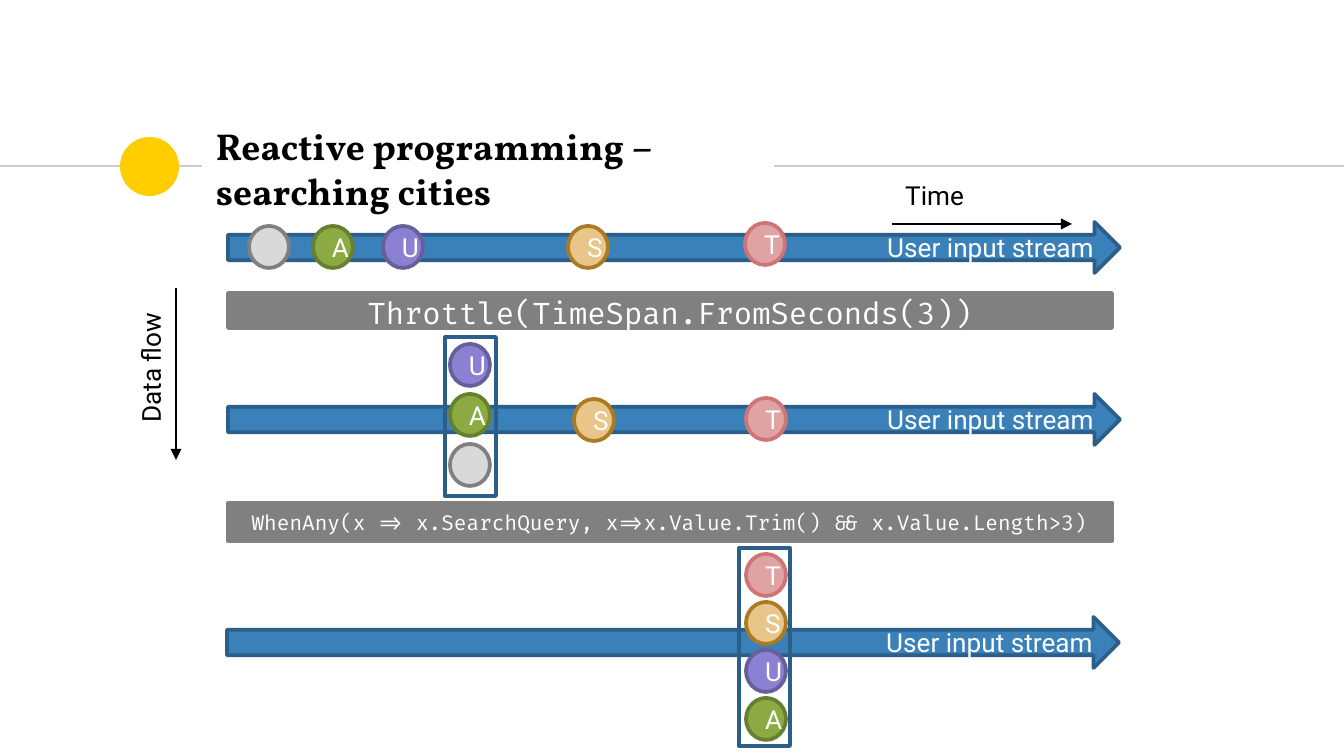
from lxml import etree
from pptx import Presentation
from pptx.dml.color import RGBColor
from pptx.enum.shapes import MSO_CONNECTOR, MSO_SHAPE
from pptx.enum.text import MSO_ANCHOR, PP_ALIGN
from pptx.oxml.ns import qn
from pptx.util import Emu, Pt

PX = 914400 / 134.4
STRAIGHT = MSO_CONNECTOR.STRAIGHT
OVAL, RECTANGLE = MSO_SHAPE.OVAL, MSO_SHAPE.RECTANGLE
ARROW, BALL = MSO_SHAPE.RIGHT_ARROW, MSO_SHAPE.FLOWCHART_CONNECTOR
TOP, MIDDLE = MSO_ANCHOR.TOP, MSO_ANCHOR.MIDDLE
LEFT, CENTER, RIGHT = PP_ALIGN.LEFT, PP_ALIGN.CENTER, PP_ALIGN.RIGHT

BLACK, WHITE, GRAY = "000000", "FFFFFF", "808080"
BLUE, DARK_BLUE = "3A81BA", "2B5F8A"
LABEL = {"name": "Roboto", "size": Pt(14)}
TITLE = {"name": "Vollkorn", "size": Pt(20), "bold": True}

# Fill and line colour of each typed letter
BALL_COLORS = {
    "": ("D9D9D9", GRAY),
    "A": ("8BAB42", "677F31"),
    "U": ("8B81D2", "675F9B"),
    "S": ("E8C588", "AB7A22"),
    "T": ("E0A3A3", "D07576"),
}
# Letter, left, top: one row for each stream
BALLS = [
    ("", 249, 226), ("A", 313, 226), ("U", 383, 226), ("S", 568, 226), ("T", 745, 223),
    ("S", 574, 399), ("T", 746, 398),
]
# Letters from top to bottom, left, top, step, frame (left, top, width, height)
STACKS = [
    (["U", "A", ""], 450, 344, 50, (445, 337, 51, 159)),
    (["T", "S", "U", "A"], 746, 554, 48, (739, 548, 51, 198)),
]


def px(*lengths):
    return [Emu(round(length * PX)) for length in lengths]


def rgb(color):
    return RGBColor.from_string(color)


def write(shape, text, font, color, align=LEFT, anchor=MIDDLE):
    frame = shape.text_frame
    frame.word_wrap = True
    frame.vertical_anchor = anchor
    para = frame.paragraphs[0]
    para.alignment = align
    span = para.add_run()
    span.text = text
    for name, value in font.items():
        setattr(span.font, name, value)
    span.font.color.rgb = rgb(color)


def add_shape(page, kind, place, fill=None, line=None):
    shape = page.shapes.add_shape(kind, *px(*place))
    shape.shadow.inherit = False
    if fill:
        shape.fill.solid()
        shape.fill.fore_color.rgb = rgb(fill)
    else:
        shape.fill.background()
    if line:
        shape.line.color.rgb = rgb(line)
        shape.line.width = Pt(2)
    else:
        shape.line.fill.background()
    return shape


def add_text(page, place, text, font, anchor=TOP):
    box = page.shapes.add_textbox(*px(*place))
    write(box, text, font, BLACK, anchor=anchor)
    return box


def add_line(page, ends, color, arrow=False):
    line = page.shapes.add_connector(STRAIGHT, *px(*ends))
    line.line.color.rgb = rgb(color)
    line.line.width = Pt(0.75)
    if arrow:
        etree.SubElement(line.line._get_or_add_ln(), qn("a:tailEnd"), type="triangle")
    etree.SubElement(line._element.spPr, qn("a:effectLst"))


def add_stream(page, left, top):
    stream = add_shape(page, ARROW, (left, top, 892, 51), BLUE, DARK_BLUE)
    write(stream, "User input stream", LABEL, WHITE, RIGHT)


def add_ball(page, letter, left, top):
    ball = add_shape(page, BALL, (left, top, 40, 42), *BALL_COLORS[letter])
    if letter:
        write(ball, letter, LABEL, WHITE, CENTER)


def add_operator(page, top, height, code, size, inset):
    bar = add_shape(page, RECTANGLE, (228, top, 884, height), GRAY, GRAY)
    bar.text_frame.margin_top, bar.text_frame.margin_bottom = px(inset, 0)
    write(bar, code, {"name": "Fira Code", "size": Pt(size)}, WHITE, CENTER)


def main():
    deck = Presentation()
    deck.slide_width, deck.slide_height = px(1344, 756)
    page = deck.slides.add_slide(deck.slide_layouts[6])

    # Title with its rule and dot
    add_line(page, (0, 166, 202, 166), "CCCCCC")
    add_shape(page, OVAL, (120, 137, 59, 59), "FFCD00")
    add_line(page, (774, 166, 1344, 166), "CCCCCC")
    title = add_text(page, (203, 136, 581, 65),
                     "Reactive programming – searching cities", TITLE, MIDDLE)
    for side in ("left", "top", "right", "bottom"):
        setattr(title.text_frame, f"margin_{side}", px(13)[0])

    # Streams and the operators between them
    for left, top in ((228, 222), (228, 394), (227, 617)):
        add_stream(page, left, top)
    add_operator(page, 293, 35, "Throttle(TimeSpan.FromSeconds(3))", 16, 4)
    add_operator(page, 503, 38,
                 "WhenAny(x => x.SearchQuery, x=>x.Value.Trim() && x.Value.Length>3)", 11, 0)

    # Single letters and framed groups
    for letter, left, top in BALLS:
        add_ball(page, letter, left, top)
    for letters, left, top, step, frame in STACKS:
        for index, letter in enumerate(letters):
            add_ball(page, letter, left, top + index * step)
        add_shape(page, RECTANGLE, frame, line=DARK_BLUE)

    # Axis labels
    add_text(page, (892, 173, 153, 46), "Time", LABEL)
    add_line(page, (892, 224, 1072, 224), BLACK, arrow=True)
    add_text(page, (82, 344, 138, 46), "Data flow", LABEL).rotation = 270
    add_line(page, (176, 288, 176, 460), BLACK, arrow=True)

    deck.save("out.pptx")


if __name__ == "__main__":
    main()
